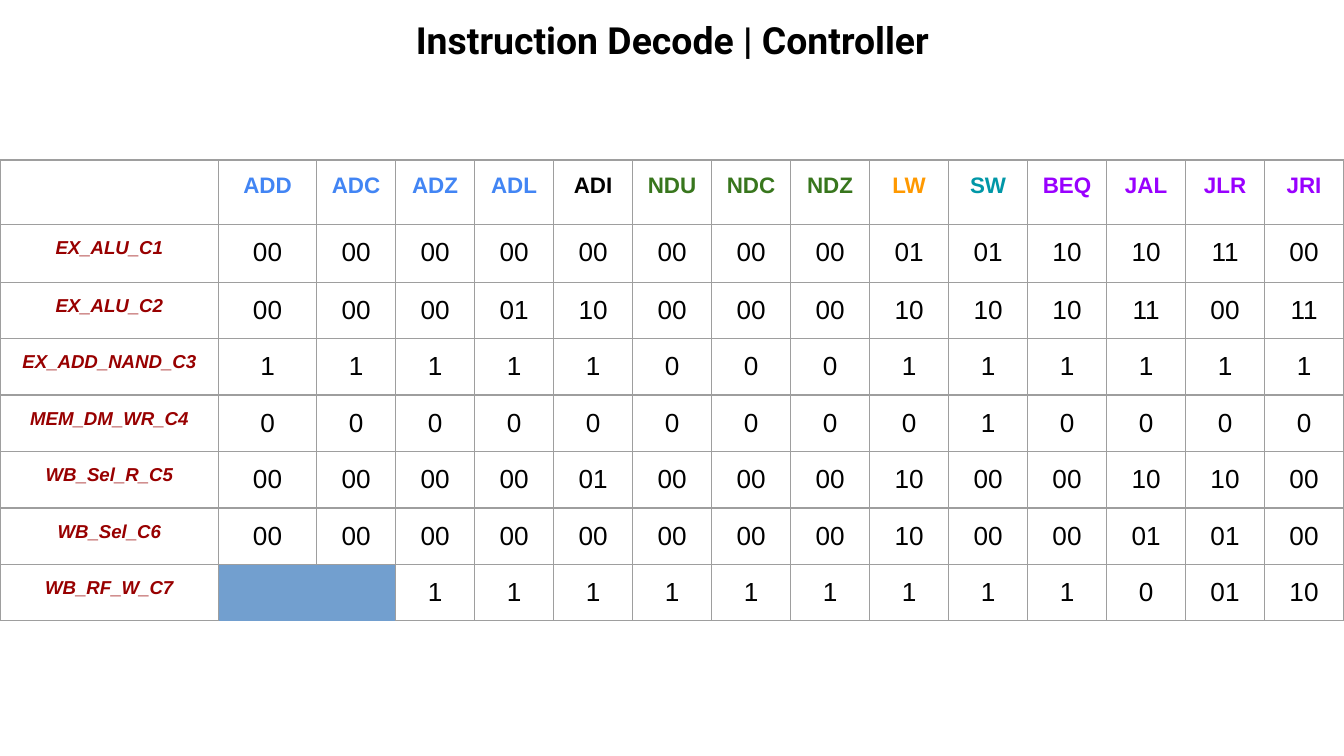
from dataclasses import dataclass

from lxml.etree import SubElement
from pptx import Presentation
from pptx.dml.color import RGBColor
from pptx.enum.text import MSO_ANCHOR, PP_ALIGN
from pptx.oxml.ns import qn
from pptx.util import Inches, Pt

COLORS = {
    "black": "000000",
    "add": "4285F4",
    "nand": "38761D",
    "load": "FF9900",
    "store": "0097A7",
    "jump": "9900FF",
    "signal": "980000",
    "border": "9E9E9E",
}
PLAIN_TABLE_STYLE = "{2D5ABB26-0587-4C30-8999-92F81FD0307C}"
SLIDE_WIDTH = 10
SLIDE_HEIGHT = SLIDE_WIDTH * 9 / 16
LABEL_SPAN = 3
COLUMN_COUNT = 17
SPECIAL_WIDTHS = {2: 0.45, 3: 0.73}
REGULAR_WIDTH = (SLIDE_WIDTH - sum(SPECIAL_WIDTHS.values())) / (
    COLUMN_COUNT - len(SPECIAL_WIDTHS)
)
ROW_HEIGHTS = [0.43] * 2 + [0.42] * 6


@dataclass
class TextStyle:
    size: int
    color: str
    bold: bool = False
    italic: bool = False
    font: str = "Arial"


@dataclass
class OpcodeGroup:
    names: str
    color: str


@dataclass
class Signal:
    name: str
    values: str


OPCODE_GROUPS = [
    OpcodeGroup("ADD ADC ADZ ADL", "add"),
    OpcodeGroup("ADI", "black"),
    OpcodeGroup("NDU NDC NDZ", "nand"),
    OpcodeGroup("LW", "load"),
    OpcodeGroup("SW", "store"),
    OpcodeGroup("BEQ JAL JLR JRI", "jump"),
]
SIGNALS = [
    Signal("EX_ALU_C1", "00 00 00 00 00 00 00 00 01 01 10 10 11 00"),
    Signal("EX_ALU_C2", "00 00 00 01 10 00 00 00 10 10 10 11 00 11"),
    Signal("EX_ADD_NAND_C3", "1 1 1 1 1 0 0 0 1 1 1 1 1 1"),
    Signal("MEM_DM_WR_C4", "0 0 0 0 0 0 0 0 0 1 0 0 0 0"),
    Signal("WB_Sel_R_C5", "00 00 00 00 01 00 00 00 10 00 00 10 10 00"),
    Signal("WB_Sel_C6", "00 00 00 00 00 00 00 00 10 00 00 01 01 00"),
    Signal("WB_RF_W_C7", "1 1 1 1 1 1 1 1 1 0 0 1 1 0"),
]
SIGNAL_STYLE = TextStyle(10, "signal", bold=True, italic=True)
VALUE_STYLE = TextStyle(14, "black")
TITLE_STYLE = TextStyle(20, "black", bold=True, font="Roboto")


def write_text(text_frame, text: str, style: TextStyle) -> None:
    text_frame.text = text
    paragraph = text_frame.paragraphs[0]
    paragraph.alignment = PP_ALIGN.CENTER
    for run in paragraph.runs:
        run.font.name = style.font
        run.font.size = Pt(style.size)
        run.font.bold = style.bold
        run.font.italic = style.italic
        run.font.color.rgb = RGBColor.from_string(COLORS[style.color])


def set_margins(target) -> None:
    target.margin_left = target.margin_right = Inches(0.1)
    target.margin_top = target.margin_bottom = Inches(0.1)


def format_cell(cell) -> None:
    set_margins(cell)
    cell.vertical_anchor = MSO_ANCHOR.TOP
    properties = cell._tc.get_or_add_tcPr()
    for side in ("a:lnL", "a:lnR", "a:lnT", "a:lnB"):
        line = SubElement(properties, qn(side), w=str(Pt(0.75)))
        fill = SubElement(line, qn("a:solidFill"))
        SubElement(fill, qn("a:srgbClr"), val=COLORS["border"])
    cell.fill.background()


def set_empty_font(cell) -> None:
    paragraph = cell.text_frame.paragraphs[0]
    properties = SubElement(paragraph._p, qn("a:endParaRPr"), sz="1800")
    SubElement(properties, qn("a:latin"), typeface="Arial")


def add_title(slide) -> None:
    title = slide.shapes.title
    title.left, title.top = Inches(1.79), Inches(0.03)
    title.width, title.height = Inches(6.43), Inches(0.54)
    text_frame = title.text_frame
    text_frame.word_wrap = True
    text_frame.vertical_anchor = MSO_ANCHOR.TOP
    set_margins(text_frame)
    write_text(text_frame, "Instruction Decode | Controller", TITLE_STYLE)


def add_control_table(slide) -> None:
    frame = slide.shapes.add_table(
        len(ROW_HEIGHTS), COLUMN_COUNT, Inches(0), Inches(1.19),
        Inches(SLIDE_WIDTH), Inches(sum(ROW_HEIGHTS)),
    )
    table = frame.table
    table.first_row = table.horz_banding = False
    table._tbl.tblPr.find(qn("a:tableStyleId")).text = PLAIN_TABLE_STYLE
    for column_index, column in enumerate(table.columns):
        column.width = Inches(SPECIAL_WIDTHS.get(column_index, REGULAR_WIDTH))
    for row, height in zip(table.rows, ROW_HEIGHTS):
        row.height = Inches(height)

    for row_index in range(len(ROW_HEIGHTS)):
        table.cell(row_index, 0).merge(table.cell(row_index, LABEL_SPAN - 1))
    for cell in table.iter_cells():
        if not cell.is_spanned:
            format_cell(cell)
    for column_index in range(LABEL_SPAN):
        set_empty_font(table.cell(0, column_index))

    opcodes = [
        (name, TextStyle(12, group.color, bold=True))
        for group in OPCODE_GROUPS
        for name in group.names.split()
    ]
    for column_index, (name, style) in enumerate(opcodes, LABEL_SPAN):
        write_text(table.cell(0, column_index).text_frame, name, style)
    for row_index, signal in enumerate(SIGNALS, 1):
        write_text(table.cell(row_index, 0).text_frame, signal.name, SIGNAL_STYLE)
        for column_index, value in enumerate(signal.values.split(), LABEL_SPAN):
            write_text(table.cell(row_index, column_index).text_frame, value, VALUE_STYLE)


def main() -> None:
    presentation = Presentation()
    presentation.slide_width = Inches(SLIDE_WIDTH)
    presentation.slide_height = Inches(SLIDE_HEIGHT)
    slide = presentation.slides.add_slide(presentation.slide_layouts[5])
    add_control_table(slide)
    add_title(slide)
    presentation.save("out.pptx")


if __name__ == "__main__":
    main()
